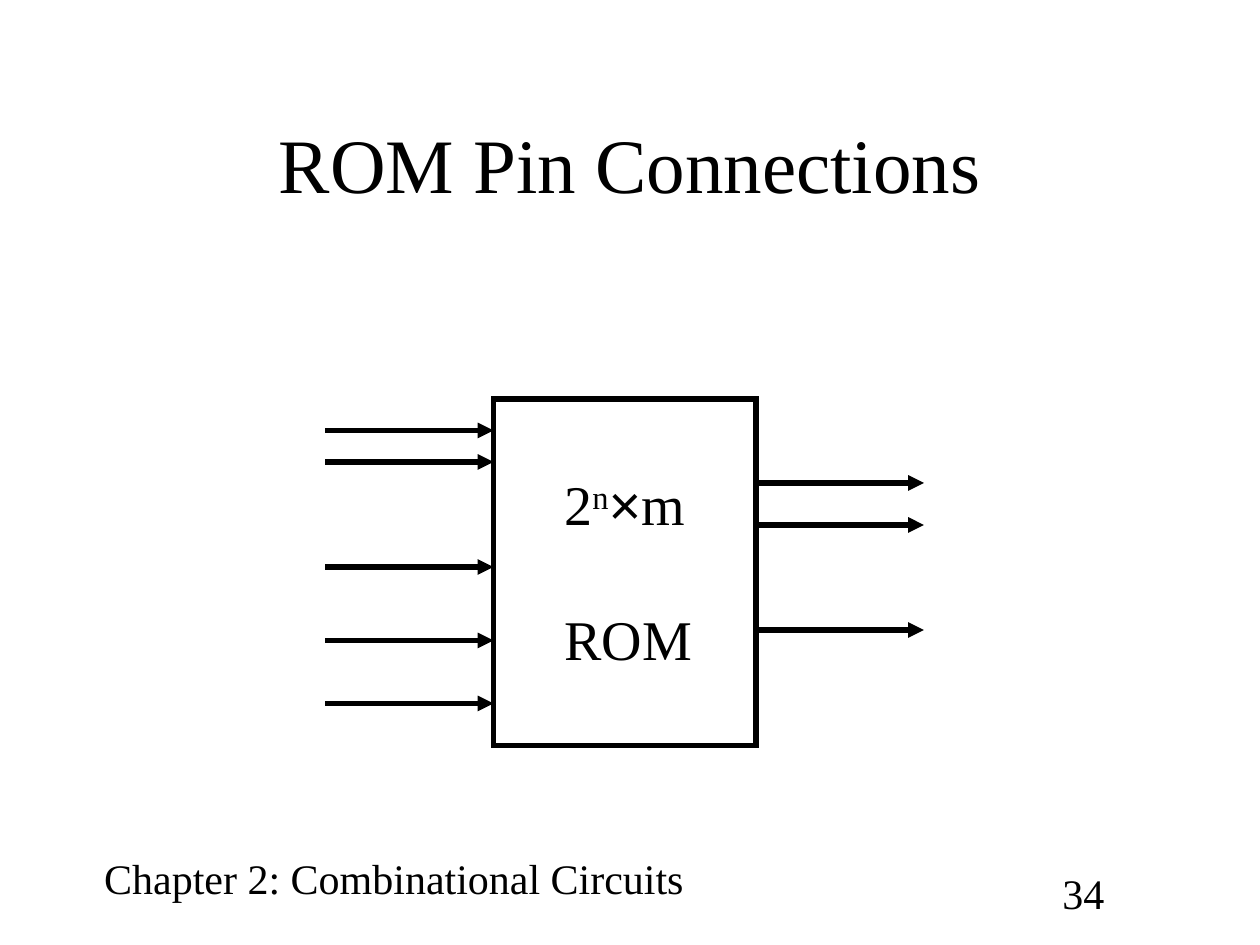
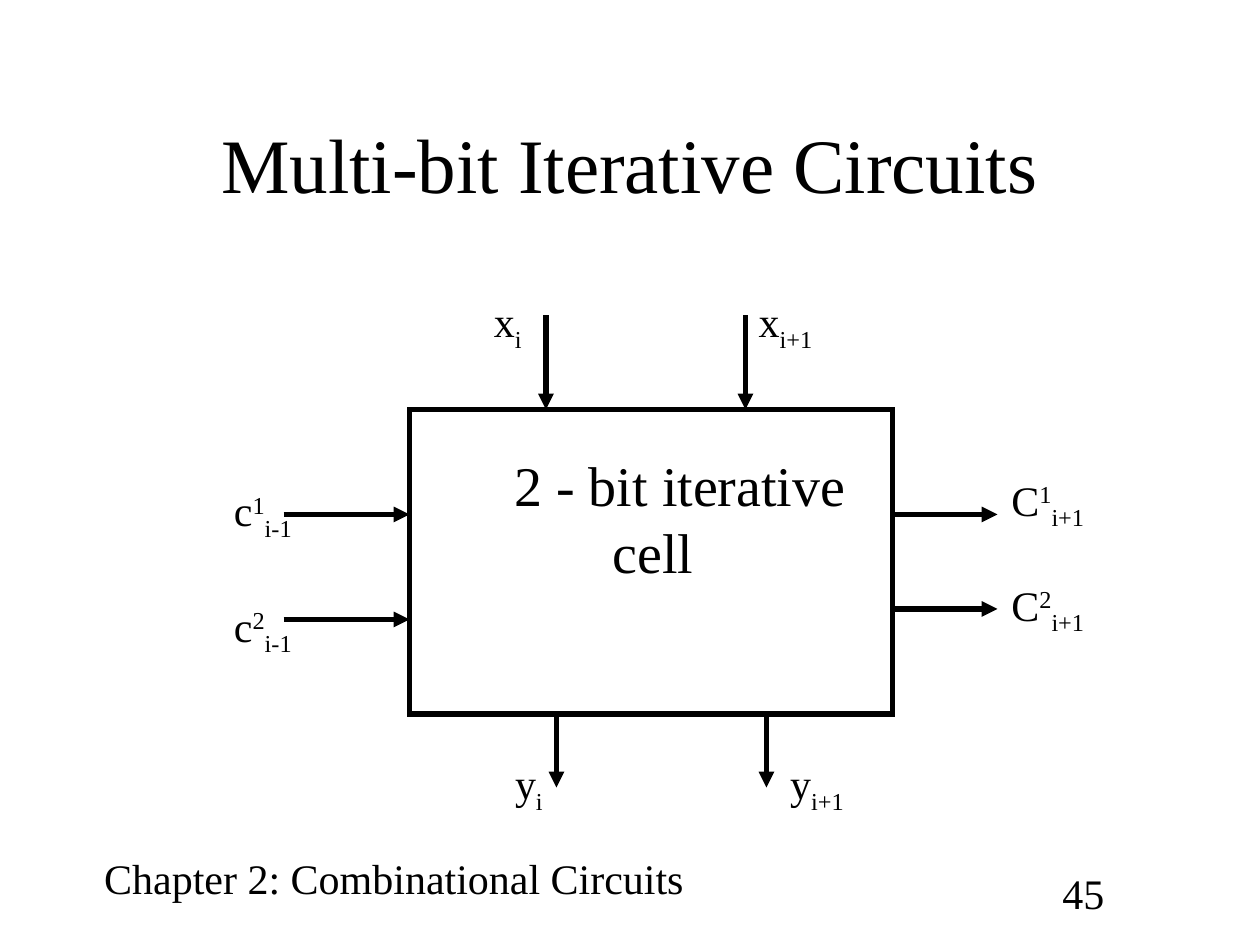
from typing import Any, NamedTuple

from lxml.etree import SubElement
from pptx import Presentation
from pptx.dml.color import RGBColor
from pptx.enum.shapes import MSO_CONNECTOR, MSO_SHAPE
from pptx.enum.text import MSO_ANCHOR, MSO_AUTO_SIZE, PP_ALIGN
from pptx.oxml.ns import qn
from pptx.util import Pt

BLACK = RGBColor(0, 0, 0)
SERIF = "Times New Roman"
SANS = "Arial"
UP, DOWN = 30000, -25000
FOOTER = "Chapter 2: Combinational Circuits"
STROKE = 3
SMALL, LARGE, HUGE = 24, 32, 44
FRAME = {
    "margin_left": Pt(7.2), "margin_right": Pt(7.2),
    "margin_top": Pt(3.6), "margin_bottom": Pt(3.6),
}
LABEL = FRAME | {"word_wrap": False, "auto_size": MSO_AUTO_SIZE.NONE}
TITLE = FRAME | {
    "word_wrap": True, "auto_size": MSO_AUTO_SIZE.NONE,
    "vertical_anchor": MSO_ANCHOR.MIDDLE,
}


class Box(NamedTuple):
    left: float
    top: float
    width: float
    height: float


class Run(NamedTuple):
    text: str
    shift: int = 0
    face: str = SERIF


class Line(NamedTuple):
    runs: list[Run]
    before: float = 0
    indent: float = 0


class Label(NamedTuple):
    box: Box
    lines: list[Line]
    size: float = SMALL


class Arrow(NamedTuple):
    x1: float
    y1: float
    x2: float
    y2: float


class Page(NamedTuple):
    title: str
    number: int
    block: Box
    arrows: list[Arrow]
    labels: list[Label]


def apply(target: Any, values: dict[str, Any]) -> None:
    for name, value in values.items():
        setattr(target, name, value)


def points(box: Box) -> list[Pt]:
    return [Pt(value) for value in box]


def write(para: Any, runs: list[Run], size: float) -> None:
    for part in runs:
        run = para.add_run()
        run.text = part.text
        apply(run.font, {"name": part.face, "size": Pt(size)})
        run.font.color.rgb = BLACK
        if part.shift:
            run.font._element.set("baseline", str(part.shift))


def draw_label(slide: Any, label: Label) -> None:
    frame = slide.shapes.add_textbox(*points(label.box)).text_frame
    apply(frame, LABEL)
    for index, line in enumerate(label.lines):
        para = frame.add_paragraph() if index else frame.paragraphs[0]
        if line.before:
            para.space_before = Pt(line.before)
        if line.indent:
            para._p.get_or_add_pPr().set("marL", str(Pt(line.indent)))
        write(para, line.runs, label.size)


def draw_title(slide: Any, text: str) -> None:
    title = slide.shapes.title
    box = dict(zip(Box._fields, points(Box(54, 48, 612, 90))))
    apply(title, box)
    apply(title.text_frame, TITLE)
    para = title.text_frame.paragraphs[0]
    para.alignment = PP_ALIGN.CENTER
    write(para, [Run(text)], HUGE)


def ink(shape: Any) -> Any:
    shape.line.color.rgb = BLACK
    shape.line.width = Pt(STROKE)
    edge = shape._element.spPr.find(qn("a:ln"))
    SubElement(edge, qn("a:miter"), lim="800000")
    return edge


def draw_block(slide: Any, box: Box) -> None:
    block = slide.shapes.add_shape(MSO_SHAPE.RECTANGLE, *points(box))
    block.shadow.inherit = False
    block.fill.background()
    ink(block)


def draw_arrow(slide: Any, arrow: Arrow) -> None:
    ends = [Pt(value) for value in arrow]
    link = slide.shapes.add_connector(MSO_CONNECTOR.STRAIGHT, *ends)
    SubElement(ink(link), qn("a:tailEnd"), type="triangle")
    SubElement(link._element.spPr, qn("a:effectLst"))


def across(left: float, right: float, tops: list[float]) -> list[Arrow]:
    return [Arrow(left, top, right, top) for top in tops]


def down(top: float, bottom: float, lefts: list[float]) -> list[Arrow]:
    return [Arrow(left, top, left, bottom) for left in lefts]


def signal(left: float, top: float, width: float, name: str, sub: str,
           sup: str = "") -> Label:
    runs = [Run(name)] + ([Run(sup, UP)] if sup else []) + [Run(sub, DOWN)]
    return Label(Box(left, top, width, 40.3), [Line(runs)])


def draw_page(deck: Any, page: Page) -> None:
    slide = deck.slides.add_slide(deck.slide_layouts.get_by_name("Title Only"))
    draw_label(slide, Label(Box(52.5, 483.4, 352, 36), [Line([Run(FOOTER)])]))
    draw_label(slide, Label(Box(600, 492, 40, 36), [Line([Run(str(page.number))])]))
    draw_title(slide, page.title)
    draw_block(slide, page.block)
    for arrow in page.arrows:
        draw_arrow(slide, arrow)
    for label in page.labels:
        draw_label(slide, label)


ROM = Page(
    "ROM Pin Connections", 34, Box(282, 228, 150, 198),
    across(186, 282, [246, 264, 324, 366, 402]) + across(432, 528, [276, 300, 360]),
    [Label(Box(315.4, 265, 90, 122.4), [
        Line([Run("2"), Run("n", UP), Run("×", face=SANS), Run("m")]),
        Line([Run("ROM")], before=38.4),
    ], LARGE)],
)

CELL = Page(
    "Multi-bit Iterative Circuits", 45, Box(234, 234, 276, 174),
    across(162, 234, [294, 354]) + across(510, 570, [294, 348])
    + down(180, 234, [312, 426]) + down(408, 450, [318, 438]),
    [
        Label(Box(286.8, 253.8, 206, 84), [
            Line([Run("2 - bit iterative")]),
            Line([Run("cell")], indent=56),
        ], LARGE),
        signal(570.8, 267.4, 58, "C", "i+1", "1"),
        signal(570.8, 327.4, 58, "C", "i+1", "2"),
        signal(126.6, 273.4, 50, "c", "i-1", "1"),
        signal(126.6, 339.4, 50, "c", "i-1", "2"),
        signal(275.2, 165.6, 32, "x", "i"),
        signal(426.4, 165.6, 48, "x", "i+1"),
        signal(287.2, 429.4, 32, "y", "i"),
        signal(444.4, 429.4, 48, "y", "i+1"),
    ],
)


def main() -> None:
    deck = Presentation()
    apply(deck, {"slide_width": Pt(720), "slide_height": Pt(540)})
    for page in (ROM, CELL):
        draw_page(deck, page)
    deck.save("out.pptx")


if __name__ == "__main__":
    main()
